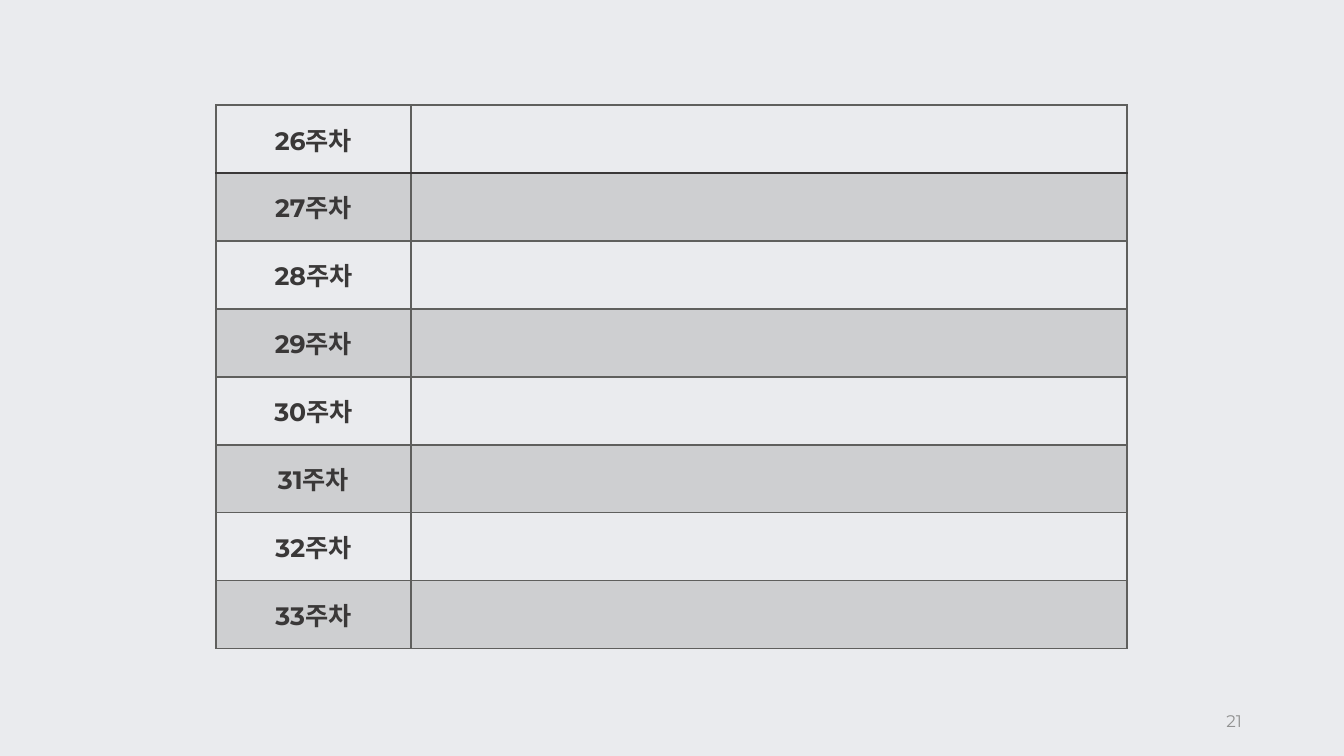
from lxml.etree import SubElement
from pptx import Presentation
from pptx.dml.color import RGBColor
from pptx.enum.text import MSO_ANCHOR, PP_ALIGN
from pptx.oxml.ns import qn
from pptx.util import Emu, Pt

# Content
WEEKS = [f"{n}주차" for n in range(26, 34)]
PAGE_NUMBER = "21"

# Design, lengths in px
FONT = "Montserrat"
COLORS = {
    "background": "EAEBEE",
    "text": "3A3838",
    "line": "5F5F5D",
    "band": "5F5F5D",
    "page": "919191",
}
BAND_ALPHA = 20
SLIDE = (1344, 756)
TABLE_LEFT, TABLE_TOP = 216, 105
COLUMNS = (195, 716)
ROW_HEIGHT = 68
PAGE_BOX = (950, 701, 302, 40)


def px(n):
    return Emu(round(n * 914400 / 100.8))


def rgb(name):
    return RGBColor.from_string(COLORS[name])


def write(tf, text, size, color, align, bold=False):
    p = tf.paragraphs[0]
    p.text = text
    p.alignment = align
    p.font.name = FONT
    p.font.size = Pt(size)
    p.font.bold = bold
    p.font.color.rgb = rgb(color)


def set_borders(cell, colors):
    tcPr = cell._tc.get_or_add_tcPr()
    for side, color in colors.items():
        ln = SubElement(tcPr, qn(f"a:ln{side}"), w=str(Pt(1)))
        fill = SubElement(ln, qn("a:solidFill"))
        SubElement(fill, qn("a:srgbClr"), val=COLORS[color])


def set_fill(cell, banded):
    if not banded:
        cell.fill.background()
        return
    cell.fill.solid()
    cell.fill.fore_color.rgb = rgb("band")
    color = cell._tc.tcPr.find(f"{qn('a:solidFill')}/{qn('a:srgbClr')}")
    SubElement(color, qn("a:alpha"), val=str(BAND_ALPHA * 1000))


prs = Presentation()
prs.slide_width, prs.slide_height = map(px, SLIDE)
s = prs.slides.add_slide(prs.slide_layouts[6])
s.background.fill.solid()
s.background.fill.fore_color.rgb = rgb("background")

# Week table
table = s.shapes.add_table(
    len(WEEKS), len(COLUMNS), px(TABLE_LEFT), px(TABLE_TOP),
    px(sum(COLUMNS)), px(ROW_HEIGHT * len(WEEKS))).table
table.first_row = table.horz_banding = False
for column, width in zip(table.columns, COLUMNS):
    column.width = px(width)

for i, week in enumerate(WEEKS):
    table.rows[i].height = px(ROW_HEIGHT)
    for cell in table.rows[i].cells:
        # The rule under the first row is darker
        set_borders(cell, {
            "L": "line",
            "R": "line",
            "T": "text" if i == 1 else "line",
            "B": "text" if i == 0 else "line",
        })
        set_fill(cell, banded=i % 2 == 1)
        cell.vertical_anchor = MSO_ANCHOR.MIDDLE
    write(table.cell(i, 0).text_frame, week, 18, "text", PP_ALIGN.CENTER, bold=True)

# Page number
tf = s.shapes.add_textbox(*map(px, PAGE_BOX)).text_frame
tf.word_wrap = True
tf.vertical_anchor = MSO_ANCHOR.MIDDLE
write(tf, PAGE_NUMBER, 12, "page", PP_ALIGN.RIGHT)

prs.save("out.pptx")
